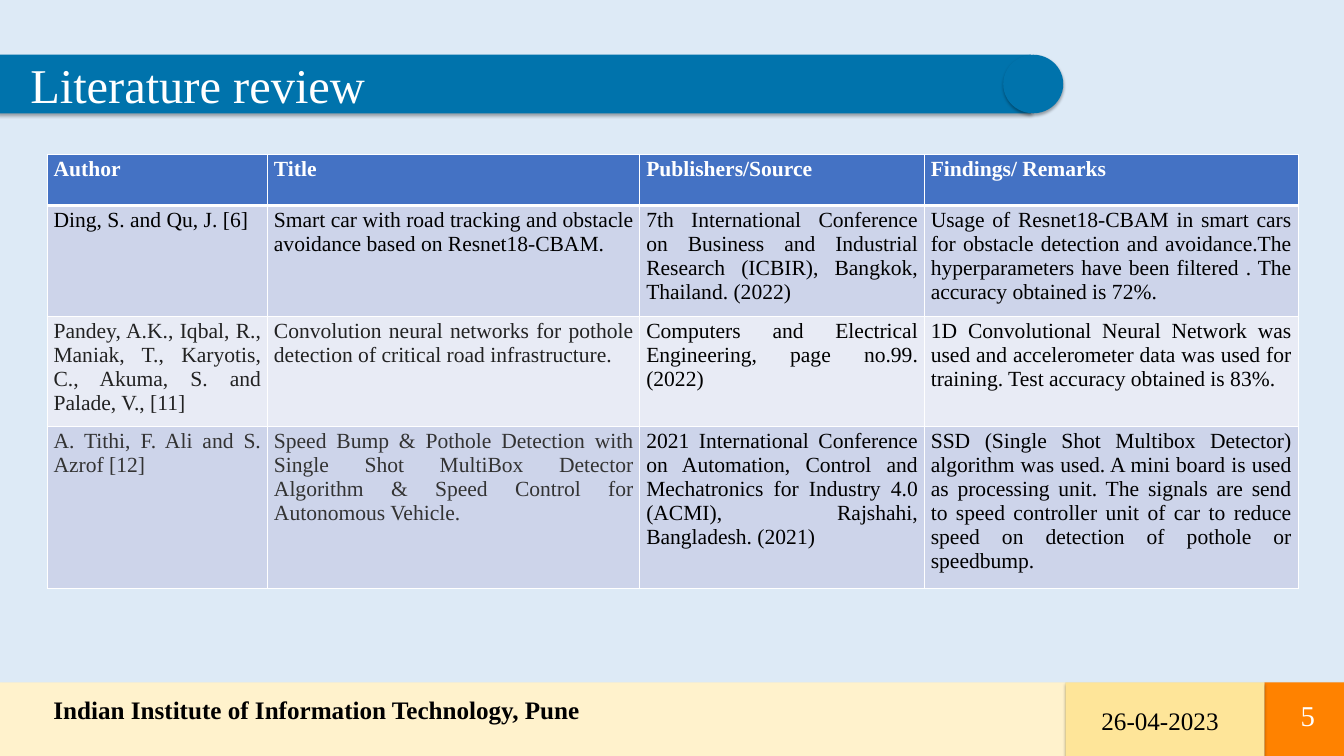
import pptx
import pptx.dml.color
import pptx.enum.shapes
import pptx.enum.text
import pptx.oxml
import pptx.oxml.ns
import pptx.util
from pptx.util import Cm

FONT = "Times New Roman"
COLOURS = {
    "background": "DDEAF6", "banner": "0073AC", "footer": "FFF2CC",
    "date": "FEE599", "number": "FF8200", "header": "4472C4",
    "odd row": "CDD4EA", "even row": "E8EBF5", "white": "FFFFFF",
    "black": "000000", "dark": "222222", "grey": "333333",
}
TITLE = "Literature review"
INSTITUTE = "Indian Institute of Information Technology, Pune"
DATE = "26-04-2023"
PAGE_NUMBER = "5"

HEADINGS = ["Author", "Title", "Publishers/Source", "Findings/ Remarks"]
PAPERS = [
    ["Ding, S. and Qu, J. [6]",
     "Smart car with road tracking and obstacle avoidance based on Resnet18-CBAM.",
     "7th International Conference on Business and Industrial Research (ICBIR), "
     "Bangkok, Thailand. (2022)",
     "Usage of Resnet18-CBAM in smart cars for obstacle detection and avoidance.The "
     "hyperparameters have been filtered . The accuracy obtained is 72%."],
    ["Pandey, A.K., Iqbal, R., Maniak, T., Karyotis, C., Akuma, S. and Palade, V., [11]",
     "Convolution neural networks for pothole detection of critical road infrastructure.",
     "Computers and Electrical Engineering, page no.99. (2022)",
     "1D Convolutional Neural Network was used and accelerometer data was used for "
     "training. Test accuracy obtained is 83%."],
    ["A. Tithi, F. Ali and S. Azrof [12]",
     "Speed Bump & Pothole Detection with Single Shot MultiBox Detector Algorithm & "
     "Speed Control for Autonomous Vehicle.",
     "2021 International Conference on Automation, Control and Mechatronics for "
     "Industry 4.0 (ACMI), Rajshahi, Bangladesh. (2021)",
     "SSD (Single Shot Multibox Detector) algorithm was used. A mini board is used as "
     "processing unit. The signals are send to speed controller unit of car to reduce "
     "speed on detection of pothole or speedbump."],
]
REFERENCE_COLOURS = ["black", "dark", "grey"]  # author and title, by paper
COLUMN_WIDTHS = [8.66, 14.63, 11.18, 14.68]
ROW_HEIGHTS = [2.02, 4.36, 4.32, 6.35]

SLIDE_WIDTH, SLIDE_HEIGHT = 52.81, 29.69
FOOTER_TOP, FOOTER_HEIGHT = 26.8, 3.1
DATE_LEFT, NUMBER_LEFT = 41.86, 49.68
BANNER_TOP, BANNER_HEIGHT = 2.15, 2.3
TABLE_LEFT, TABLE_TOP = 1.85, 6.05

ALIGN = pptx.enum.text.PP_ALIGN
ANCHOR = pptx.enum.text.MSO_ANCHOR
SHAPE = pptx.enum.shapes.MSO_SHAPE


def colour(name):
    return pptx.dml.color.RGBColor.from_string(COLOURS[name])


def write(frame, text, size=24, color="black", bold=False, align=ALIGN.LEFT):
    frame.word_wrap = True
    paragraph = frame.paragraphs[0]
    paragraph.text = text
    paragraph.alignment = align
    font = paragraph.runs[0].font
    font.name = FONT
    font.size = pptx.util.Pt(size)
    font.bold = bold
    font.color.rgb = colour(color)
    return paragraph


def add_panel(slide, kind, left, top, width, height, fill):
    """Add a borderless shape with a soft shadow below it."""
    shape = slide.shapes.add_shape(kind, Cm(left), Cm(top), Cm(width), Cm(height))
    shape.fill.solid()
    shape.fill.fore_color.rgb = colour(fill)
    shape.line.fill.background()
    shape.shadow.inherit = False
    effects = shape.element.spPr.find(pptx.oxml.ns.qn("a:effectLst"))
    effects.append(pptx.oxml.parse_xml(
        f'<a:outerShdw {pptx.oxml.ns.nsdecls("a")} blurRad="44450" dist="27940" '
        f'dir="5400000" algn="ctr" rotWithShape="0"><a:srgbClr val="{COLOURS["black"]}">'
        '<a:alpha val="32000"/></a:srgbClr></a:outerShdw>'))
    return shape


def add_label(slide, text, left, top, width, height, anchor=ANCHOR.TOP, **text_format):
    box = slide.shapes.add_textbox(Cm(left), Cm(top), Cm(width), Cm(height))
    box.text_frame.vertical_anchor = anchor
    write(box.text_frame, text, **text_format)


def set_borders(cell, **points):
    """Draw white cell borders; points maps L, R, T and B to line widths."""
    properties = cell._tc.get_or_add_tcPr()
    for side, width in points.items():
        properties.append(pptx.oxml.parse_xml(
            f'<a:ln{side} {pptx.oxml.ns.nsdecls("a")} w="{pptx.util.Pt(width)}">'
            f'<a:solidFill><a:srgbClr val="{COLOURS["white"]}"/></a:solidFill></a:ln{side}>'))


def add_banner(slide):
    banner = add_panel(slide, SHAPE.RECTANGLE, -0.08, BANNER_TOP, 40.59, BANNER_HEIGHT, "banner")
    frame = banner.text_frame
    frame.margin_left = frame.margin_right = frame.margin_top = frame.margin_bottom = 0
    frame.vertical_anchor = ANCHOR.TOP
    paragraph = write(frame, TITLE, size=54, color="white")
    paragraph._p.get_or_add_pPr().set("marL", str(Cm(1.27)))
    add_panel(slide, SHAPE.OVAL, 39.42, BANNER_TOP, 2.36, BANNER_HEIGHT, "banner")


def add_footer(slide):
    edges = [0, DATE_LEFT, NUMBER_LEFT, SLIDE_WIDTH]
    spans = dict(zip(["footer", "date", "number"], zip(edges, edges[1:])))
    for name in ["footer", "number", "date"]:
        left, right = spans[name]
        add_panel(slide, SHAPE.RECTANGLE, left, FOOTER_TOP, right - left, FOOTER_HEIGHT, name)
    add_label(slide, INSTITUTE, TABLE_LEFT, 27.15, 34.29, 2.06, size=28, bold=True)
    add_label(slide, DATE, 43.03, 27.58, 6.22, 1.45, size=28)
    add_label(slide, PAGE_NUMBER, 50.32, 27.53, 1.6, 1.07, anchor=ANCHOR.MIDDLE,
              size=32, color="white", align=ALIGN.RIGHT)


def add_review_table(slide):
    rows = [HEADINGS] + PAPERS
    table = slide.shapes.add_table(
        len(rows), len(HEADINGS), Cm(TABLE_LEFT), Cm(TABLE_TOP),
        Cm(sum(COLUMN_WIDTHS)), Cm(sum(ROW_HEIGHTS))).table
    for column, width in zip(table.columns, COLUMN_WIDTHS):
        column.width = Cm(width)
    for row, height in zip(table.rows, ROW_HEIGHTS):
        row.height = Cm(height)
    for row_index, texts in enumerate(rows):
        is_header = row_index == 0
        fill = "header" if is_header else "odd row" if row_index % 2 else "even row"
        for column_index, text in enumerate(texts):
            if is_header:
                color = "white"
            else:
                color = REFERENCE_COLOURS[row_index - 1] if column_index < 2 else "black"
            cell = table.cell(row_index, column_index)
            set_borders(cell, L=1, R=1, T=3 if row_index == 1 else 1, B=3 if is_header else 1)
            cell.fill.solid()
            cell.fill.fore_color.rgb = colour(fill)
            write(cell.text_frame, text, color=color, bold=is_header, align=ALIGN.JUSTIFY)


def main():
    presentation = pptx.Presentation()
    presentation.slide_width = Cm(SLIDE_WIDTH)
    presentation.slide_height = Cm(SLIDE_HEIGHT)
    slide = presentation.slides.add_slide(presentation.slide_layouts[6])
    slide.background.fill.solid()
    slide.background.fill.fore_color.rgb = colour("background")
    add_footer(slide)
    add_banner(slide)
    add_review_table(slide)
    presentation.save("out.pptx")


if __name__ == "__main__":
    main()
